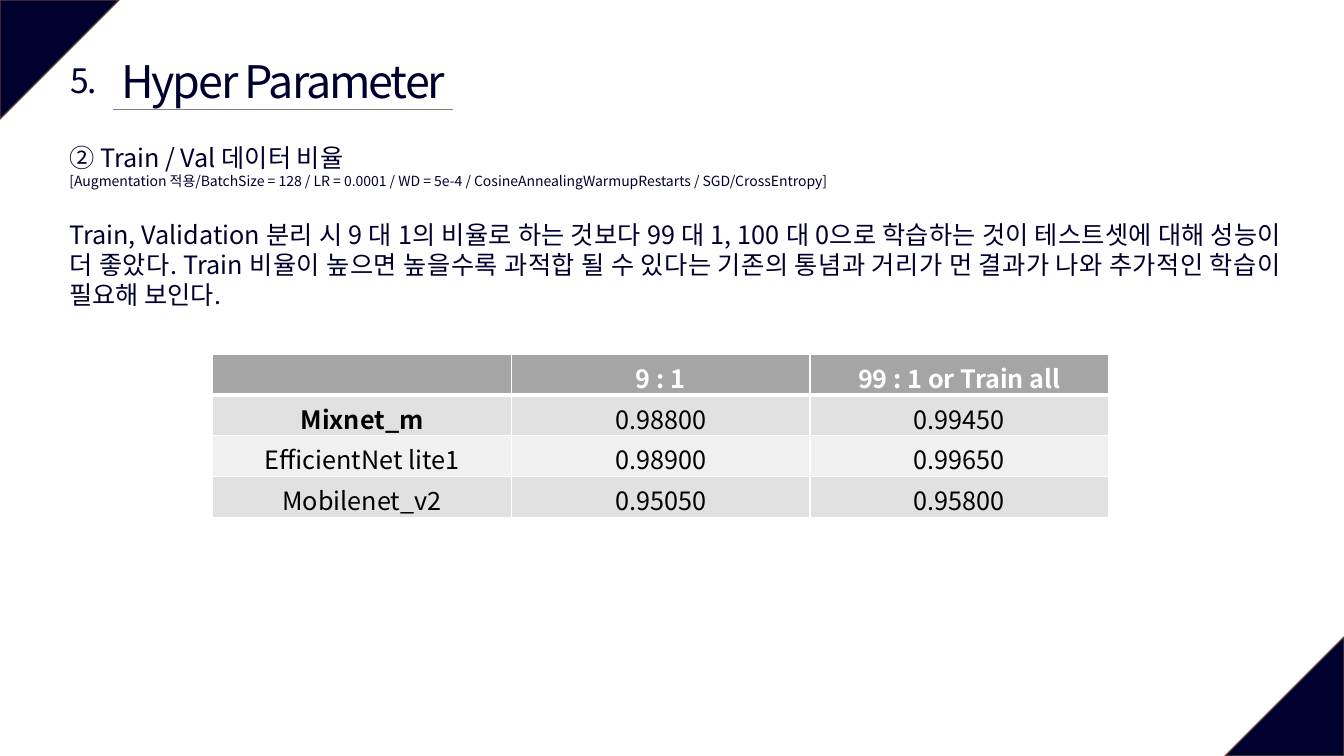
from dataclasses import dataclass
from lxml.etree import SubElement
from pptx import Presentation
from pptx.dml.color import RGBColor
from pptx.enum.shapes import MSO_CONNECTOR, MSO_SHAPE
from pptx.enum.text import PP_ALIGN
from pptx.oxml import parse_xml
from pptx.oxml.ns import nsdecls, qn
from pptx.slide import Slide
from pptx.table import _Cell
from pptx.text.text import _Paragraph
from pptx.util import Pt


@dataclass(frozen=True)
class Theme:
    font: str = "Noto Sans CJK KR"
    navy: str = "00002F"
    corner_line: str = "5B3F33"
    rule: str = "808080"
    white: str = "FFFFFF"
    black: str = "000000"
    header: str = "A5A5A5"
    bands: tuple[str, str] = ("E1E1E1", "F0F0F0")
    title: float = 32
    number: float = 24
    body: float = 18
    note: float = 10


@dataclass(frozen=True)
class Corner:
    left: float
    top: float
    rotation: float


@dataclass(frozen=True)
class Line:
    text: str
    size: float
    align: PP_ALIGN
    before: float = 0
    spacing: int = 0


@dataclass(frozen=True)
class TextBox:
    left: float
    top: float
    width: float
    height: float
    lines: tuple[Line, ...]
    wrap: bool = False


THEME = Theme()
CORNER_SIZE = 85
CORNERS = (Corner(0, 0, 90), Corner(875, 455, 270))
TEXT_BOXES = (
    TextBox(72, 34.6, 260.6, 46,
            (Line("Hyper Parameter", THEME.title, PP_ALIGN.CENTER, spacing=-150),)),
    TextBox(42.5, 39.6, 34.6, 36,
            (Line("5.", THEME.number, PP_ALIGN.CENTER, spacing=-150),)),
    TextBox(42.5, 97.9, 879.8, 237.6, (
        Line("② Train / Val 데이터 비율", THEME.body, PP_ALIGN.JUSTIFY),
        Line("[Augmentation 적용/BatchSize = 128 / LR = 0.0001 / WD = 5e-4 / "
             "CosineAnnealingWarmupRestarts / SGD/CrossEntropy]",
             THEME.note, PP_ALIGN.JUSTIFY),
        Line("Train, Validation 분리 시 9 대 1의 비율로 하는 것보다 99 대 1, 100 대 0으로 "
             "학습하는 것이 테스트셋에 대해 성능이 더 좋았다. Train 비율이 높으면 높을수록 "
             "과적합 될 수 있다는 기존의 통념과 거리가 먼 결과가 나와 추가적인 학습이 "
             "필요해 보인다.", THEME.body, PP_ALIGN.JUSTIFY, before=21.5),
    ), wrap=True),
)
RESULTS = (
    ("", "9 : 1", "99 : 1 or Train all"),
    ("Mixnet_m", "0.98800", "0.99450"),
    ("EfficientNet lite1", "0.98900", "0.99650"),
    ("Mobilenet_v2", "0.95050", "0.95800"),
)
COLUMN_WIDTH = 213.3
ROW_HEIGHT = 29.2


def rgb(color: str) -> RGBColor:
    return RGBColor.from_string(color)


def format_runs(p: _Paragraph, size: float, color: str,
                bold: bool = False, spacing: int = 0) -> None:
    for r in p.runs:
        r.font.size = Pt(size)
        r.font.bold = bold
        r.font.name = THEME.font
        r.font.color.rgb = rgb(color)
        rpr = r._r.get_or_add_rPr()
        SubElement(rpr, qn("a:ea")).set("typeface", THEME.font)
        if spacing:
            rpr.set("spc", str(spacing))


def add_corner(s: Slide, corner: Corner) -> None:
    sp = s.shapes.add_shape(MSO_SHAPE.ISOSCELES_TRIANGLE, Pt(corner.left), Pt(corner.top),
                            Pt(CORNER_SIZE), Pt(CORNER_SIZE))
    sp.adjustments[0] = 0
    sp.rotation = corner.rotation
    sp.shadow.inherit = False
    sp.fill.solid()
    sp.fill.fore_color.rgb = rgb(THEME.navy)
    sp.line.color.rgb = rgb(THEME.corner_line)
    sp.line.width = Pt(1)


def add_title_rule(s: Slide) -> None:
    rule = s.shapes.add_connector(MSO_CONNECTOR.STRAIGHT, Pt(80.6), Pt(77.8),
                                  Pt(323.3), Pt(77.8))
    rule.line.color.rgb = rgb(THEME.rule)
    rule.line.width = Pt(0.5)
    SubElement(rule._element.spPr, qn("a:effectLst"))


def add_text(s: Slide, box: TextBox) -> None:
    sp = s.shapes.add_textbox(Pt(box.left), Pt(box.top), Pt(box.width), Pt(box.height))
    tf = sp.text_frame
    tf.word_wrap = box.wrap
    tf.text = "\n".join(line.text for line in box.lines)
    for p, line in zip(tf.paragraphs, box.lines):
        p.alignment = line.align
        p.space_before = Pt(line.before)
        format_runs(p, line.size, THEME.navy, spacing=line.spacing)


def set_borders(cell: _Cell, top: float, bottom: float) -> None:
    tc_pr = cell._tc.get_or_add_tcPr()
    widths = {"lnL": 1, "lnR": 1, "lnT": top, "lnB": bottom}
    for i, (side, width) in enumerate(widths.items()):
        tc_pr.insert(i, parse_xml(
            f'<a:{side} {nsdecls("a")} w="{Pt(width)}"><a:solidFill>'
            f'<a:srgbClr val="{THEME.white}"/></a:solidFill></a:{side}>'))


def add_results(s: Slide) -> None:
    rows, cols = len(RESULTS), len(RESULTS[0])
    table = s.shapes.add_table(rows, cols, Pt(152), Pt(252.8), Pt(COLUMN_WIDTH * cols),
                               Pt(ROW_HEIGHT * rows)).table
    for column in table.columns:
        column.width = Pt(COLUMN_WIDTH)
    for i, values in enumerate(RESULTS):
        table.rows[i].height = Pt(ROW_HEIGHT)
        header = i == 0
        for j, value in enumerate(values):
            cell = table.cell(i, j)
            cell.fill.solid()
            cell.fill.fore_color.rgb = rgb(THEME.header if header else THEME.bands[(i - 1) % 2])
            set_borders(cell, 3 if i == 1 else 1, 3 if header else 1)
            cell.text_frame.text = value
            p = cell.text_frame.paragraphs[0]
            p.alignment = PP_ALIGN.CENTER
            format_runs(p, THEME.body, THEME.white if header else THEME.black,
                        bold=header or value == "Mixnet_m")


def main() -> None:
    prs = Presentation()
    prs.slide_width, prs.slide_height = Pt(960), Pt(540)
    s = prs.slides.add_slide(prs.slide_layouts[6])
    for corner in CORNERS:
        add_corner(s, corner)
    add_title_rule(s)
    for box in TEXT_BOXES:
        add_text(s, box)
    add_results(s)
    prs.save("out.pptx")


if __name__ == "__main__":
    main()
